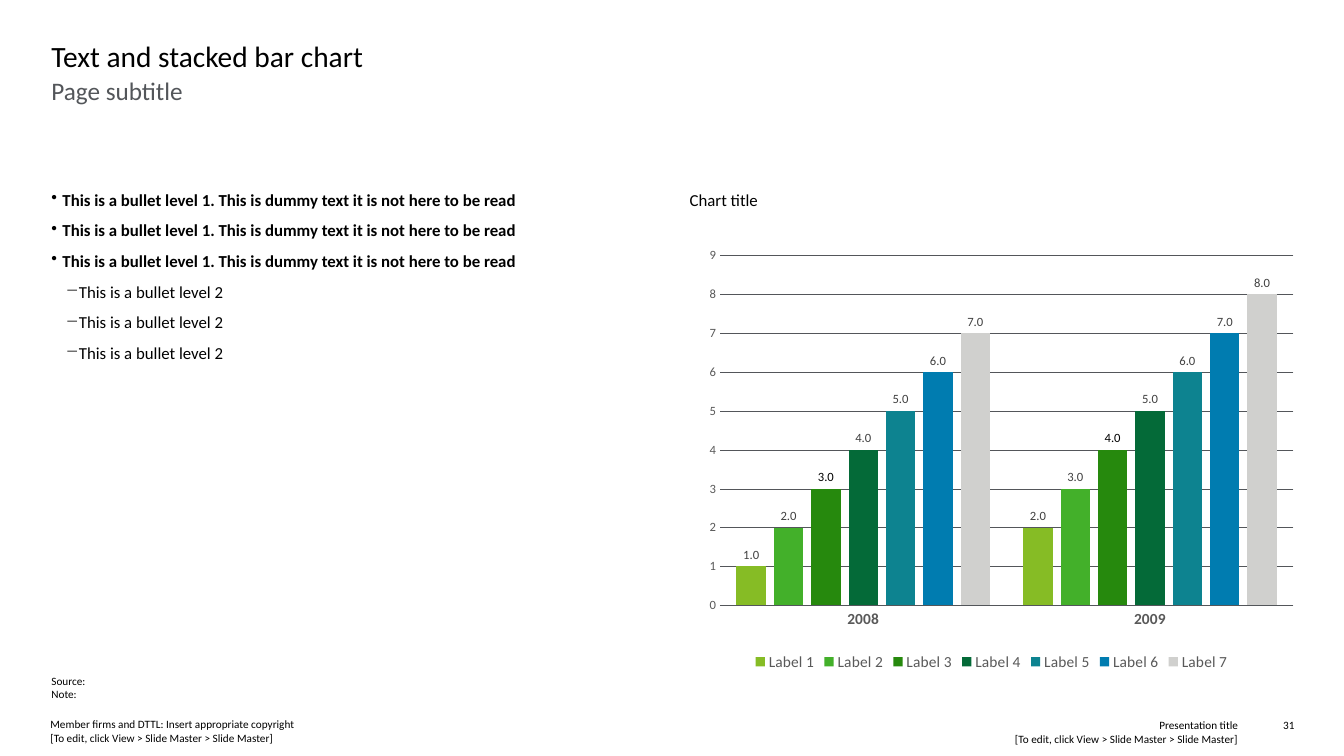
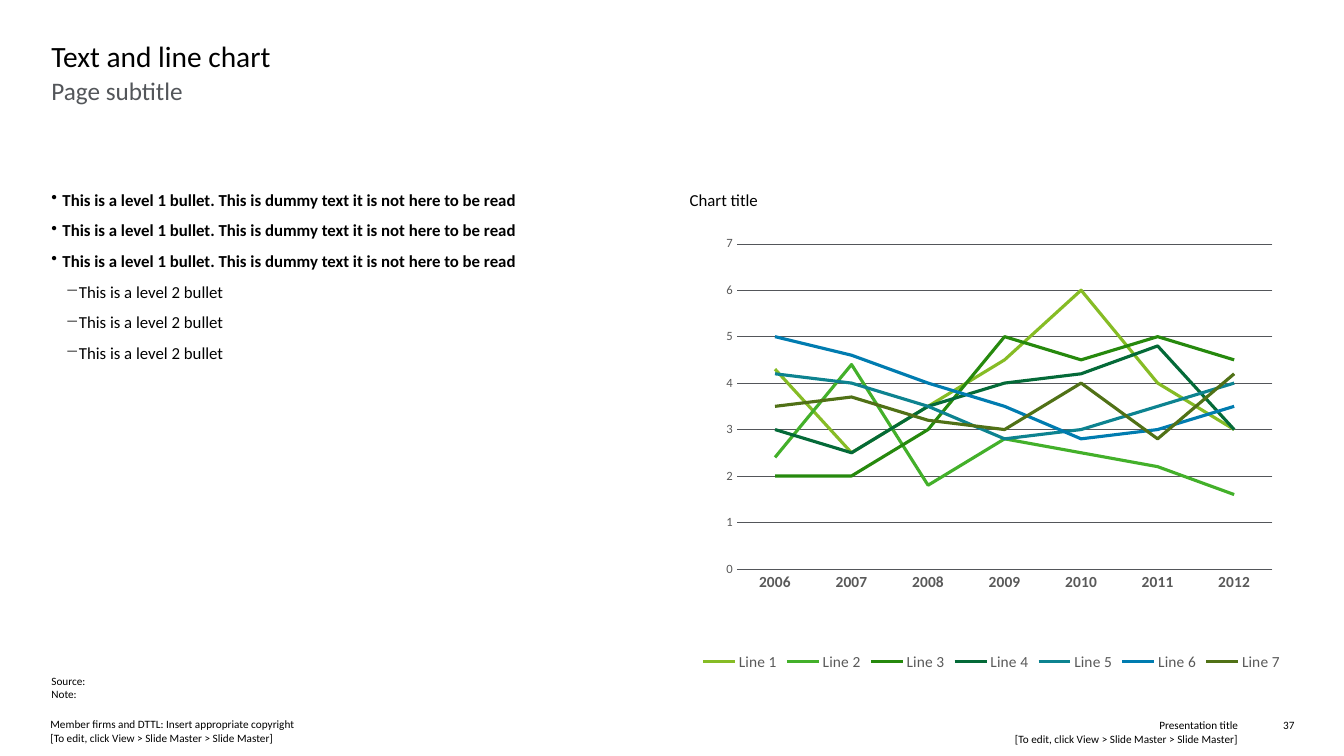
from dataclasses import dataclass

from lxml import etree
from pptx import Presentation
from pptx.chart.data import CategoryChartData
from pptx.dml.color import RGBColor
from pptx.enum import chart as charts, text
from pptx.oxml import ns
from pptx.util import Inches, Pt


@dataclass(frozen=True)
class Theme:
    font: str = "Calibri"
    black: str = "000000"
    gray: str = "53565A"
    axis_text: str = "595959"
    label_text: str = "404040"
    palette: tuple = ("86BC25", "43B02A", "26890D", "046A38", "0D8390", "007CB0")
    last_column: str = "D0D0CE"
    last_line: str = "507116"
    title_size: float = 21
    subtitle_size: float = 18
    body_size: float = 12
    axis_size: float = 11
    chart_size: float = 10
    value_size: float = 9
    small_size: float = 8
    hairline: float = 0.25
    series_line: float = 2.25
    space_after: float = 7.5


THEME = Theme()
LEFT, FULL_WIDTH = 0.51, 12.33
COLUMN_WIDTH, RIGHT_COLUMN = 5.99, 6.84
BODY_TOP = 1.88
# Bullet character and left indent for each level
BULLETS = (("•", 0.11), ("−", 0.25))
HANGING = 0.11
EDIT_HINT = "[To edit, click View > Slide Master > Slide Master]"


def style_font(font, size, color, bold=False):
    font.name = THEME.font
    font.size = Pt(size)
    font.bold = bold
    font.color.rgb = RGBColor.from_string(color)


def style_line(line, color, width):
    line.color.rgb = RGBColor.from_string(color)
    line.width = Pt(width)


class Deck:
    def __init__(self):
        self.presentation = Presentation()
        self.presentation.slide_width = Inches(13.33)
        self.presentation.slide_height = Inches(7.5)
        self.slide = None

    def add_slide(self, title, page):
        """Start a slide with its title, subtitle, source note and footer."""
        layout = self.presentation.slide_layouts.get_by_name("Title Only")
        self.slide = self.presentation.slides.add_slide(layout)
        shape = self.slide.shapes.title
        shape.left, shape.top = Inches(LEFT), Inches(0.38)
        shape.width, shape.height = Inches(FULL_WIDTH), Inches(0.37)
        self.set_text(shape, title, THEME.title_size)
        self.text_box(LEFT, 0.75, FULL_WIDTH, 0.83, "Page subtitle",
                      THEME.subtitle_size, THEME.gray)
        self.text_box(LEFT, 6.69, FULL_WIDTH, 0.26, "Source:\nNote:", THEME.small_size)
        self.footer(page)

    def footer(self, page):
        right = text.PP_ALIGN.RIGHT
        self.text_box(0.5, 7.12, 5.86, 0.27,
                      f"Member firms and DTTL: Insert appropriate copyright\v{EDIT_HINT}",
                      THEME.small_size)
        self.text_box(6.93, 7.13, 5.35, 0.27, f"Presentation title\v{EDIT_HINT}",
                      THEME.small_size, align=right)
        self.text_box(12.5, 7.13, 0.34, 0.13, str(page), THEME.small_size, align=right)

    def set_text(self, shape, content, size, color=THEME.black, align=text.PP_ALIGN.LEFT):
        frame = shape.text_frame
        frame.text = content
        frame.word_wrap = True
        frame.auto_size = text.MSO_AUTO_SIZE.NONE
        frame.vertical_anchor = text.MSO_ANCHOR.TOP
        frame.margin_left = frame.margin_right = 0
        frame.margin_top = frame.margin_bottom = 0
        for paragraph in frame.paragraphs:
            paragraph.alignment = align
            for run in paragraph.runs:
                style_font(run.font, size, color)

    def text_box(self, left, top, width, height, content, size,
                 color=THEME.black, align=text.PP_ALIGN.LEFT):
        shape = self.slide.shapes.add_textbox(
            Inches(left), Inches(top), Inches(width), Inches(height))
        self.set_text(shape, content, size, color, align)
        return shape

    def bullets(self, items):
        """Fill the left column with (level, text) pairs."""
        shape = self.text_box(LEFT, BODY_TOP, COLUMN_WIDTH, 4.81,
                              "\n".join(line for _, line in items), THEME.body_size)
        for paragraph, (level, _) in zip(shape.text_frame.paragraphs, items):
            character, indent = BULLETS[level]
            paragraph.level = level
            paragraph.space_after = Pt(THEME.space_after)
            properties = paragraph._p.get_or_add_pPr()
            properties.set("marL", str(Inches(indent)))
            properties.set("indent", str(-Inches(HANGING)))
            bullet = etree.SubElement(properties, ns.qn("a:buChar"))
            bullet.set("char", character)
            for run in paragraph.runs:
                run.font.bold = level == 0

    def chart(self, kind, categories, series, maximum, plot_area):
        """Add the chart title and a styled chart in the right column."""
        self.text_box(RIGHT_COLUMN, BODY_TOP, COLUMN_WIDTH, 0.44, "Chart title",
                      THEME.body_size)
        data = CategoryChartData()
        data.categories = categories
        for name, values in series:
            data.add_series(name, values)
        chart = self.slide.shapes.add_chart(
            kind, Inches(RIGHT_COLUMN), Inches(2.34), Inches(COLUMN_WIDTH),
            Inches(4.36), data).chart
        chart.has_title = False
        style_font(chart.font, THEME.chart_size, THEME.black)
        chart.has_legend = True
        chart.legend.position = charts.XL_LEGEND_POSITION.BOTTOM
        chart.legend.include_in_layout = False
        style_font(chart.legend.font, THEME.axis_size, THEME.axis_text)
        self.style_axes(chart, maximum)
        self.place_plot(chart, plot_area)
        chart.plots[0].vary_by_categories = False
        return chart

    def style_axes(self, chart, maximum):
        category, value = chart.category_axis, chart.value_axis
        for axis in (category, value):
            axis.major_tick_mark = charts.XL_TICK_MARK.NONE
            axis.minor_tick_mark = charts.XL_TICK_MARK.NONE
        style_font(category.tick_labels.font, THEME.axis_size, THEME.axis_text, True)
        style_line(category.format.line, THEME.gray, THEME.hairline)
        style_font(value.tick_labels.font, THEME.value_size, THEME.axis_text)
        value.format.line.fill.background()
        value.minimum_scale, value.maximum_scale, value.major_unit = 0, maximum, 1
        value.has_major_gridlines = True
        style_line(value.major_gridlines.format.line, THEME.gray, THEME.hairline)

    def place_plot(self, chart, plot_area):
        """Fix the inner plot area as fractions of the chart: x, y, w, h."""
        area = chart.element.chart.plotArea
        for existing in area.findall(ns.qn("c:layout")):
            area.remove(existing)
        layout = etree.Element(ns.qn("c:layout"))
        manual = etree.SubElement(layout, ns.qn("c:manualLayout"))
        settings = [("layoutTarget", "inner"), ("xMode", "edge"), ("yMode", "edge")]
        for tag, setting in settings + list(zip("xywh", plot_area)):
            etree.SubElement(manual, ns.qn(f"c:{tag}")).set("val", str(setting))
        area.insert(0, layout)

    def column_chart(self, categories, series, maximum, plot_area):
        chart = self.chart(charts.XL_CHART_TYPE.COLUMN_CLUSTERED, categories, series,
                           maximum, plot_area)
        plot = chart.plots[0]
        plot.gap_width, plot.overlap = 113, -27
        for index, (column, color) in enumerate(
                zip(plot.series, THEME.palette + (THEME.last_column,))):
            column.format.fill.solid()
            column.format.fill.fore_color.rgb = RGBColor.from_string(color)
            labels = column.data_labels
            labels.show_value = True
            labels.position = charts.XL_LABEL_POSITION.OUTSIDE_END
            labels.number_format = "#,##0.0"
            labels.number_format_is_linked = False
            label_color = THEME.black if index == 2 else THEME.label_text
            style_font(labels.font, THEME.value_size, label_color)

    def line_chart(self, categories, series, maximum, plot_area):
        chart = self.chart(charts.XL_CHART_TYPE.LINE, categories, series,
                           maximum, plot_area)
        for line, color in zip(chart.plots[0].series, THEME.palette + (THEME.last_line,)):
            line.smooth = False
            line.marker.style = charts.XL_MARKER_STYLE.NONE
            style_line(line.format.line, color, THEME.series_line)


def main():
    deck = Deck()

    deck.add_slide("Text and stacked bar chart", 31)
    deck.bullets(
        [(0, "This is a bullet level 1. This is dummy text it is not here to be read")] * 3
        + [(1, "This is a bullet level 2")] * 3)
    deck.column_chart(
        ["2008", "2009"],
        [(f"Label {number}", (number, number + 1)) for number in range(1, 8)],
        9, (0.05, 0.045, 0.95, 0.796))

    deck.add_slide("Text and line chart", 37)
    deck.bullets(
        [(0, "This is a level 1 bullet. This is dummy text it is not here to be read")] * 3
        + [(1, "This is a level 2 bullet")] * 3)
    deck.line_chart(
        [str(year) for year in range(2006, 2013)],
        [("Line 1", (4.3, 2.5, 3.5, 4.5, 6, 4, 3)),
         ("Line 2", (2.4, 4.4, 1.8, 2.8, 2.5, 2.2, 1.6)),
         ("Line 3", (2, 2, 3, 5, 4.5, 5, 4.5)),
         ("Line 4", (3, 2.5, 3.5, 4, 4.2, 4.8, 3)),
         ("Line 5", (4.2, 4, 3.5, 2.8, 3, 3.5, 4)),
         ("Line 6", (5, 4.6, 4, 3.5, 2.8, 3, 3.5)),
         ("Line 7", (3.5, 3.7, 3.2, 3, 4, 2.8, 4.2))],
        7, (0.078, 0.018, 0.887, 0.74))

    deck.presentation.save("out.pptx")


if __name__ == "__main__":
    main()
